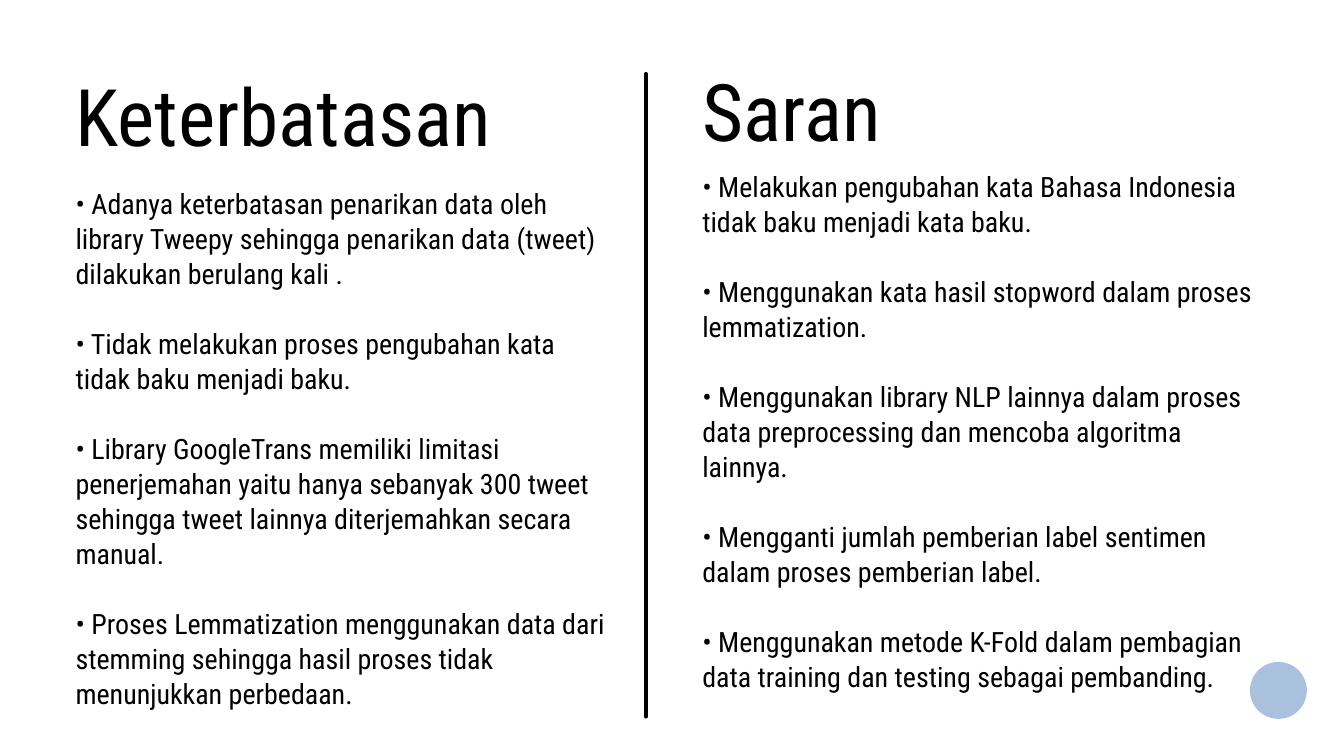
from dataclasses import dataclass

from lxml.etree import SubElement
from pptx import Presentation
from pptx.dml.color import RGBColor as Rgb
from pptx.enum.shapes import MSO_CONNECTOR as Line, MSO_SHAPE as Shape
from pptx.oxml.ns import qn
from pptx.slide import Slide
from pptx.util import Pt


@dataclass(frozen=True)
class Theme:
    ink: Rgb = Rgb(0, 0, 0)
    paper: Rgb = Rgb(255, 255, 255)
    accent: Rgb = Rgb(0xAA, 0xC1, 0xDD)
    font: str = "Roboto Condensed"
    heading_size: float = 85
    heading_leading: float = 93.5
    point_size: float = 30
    point_leading: float = 37.5


@dataclass(frozen=True)
class Column:
    heading: str
    points: list[str]
    left: float
    heading_top: float
    heading_width: float
    points_top: float
    points_width: float


THEME = Theme()
POINT_LINES = 15

COLUMNS = [
    Column(
        "Keterbatasan",
        [
            "Adanya keterbatasan penarikan data oleh library Tweepy sehingga "
            "penarikan data (tweet) dilakukan berulang kali .",
            "Tidak melakukan proses pengubahan kata tidak baku menjadi baku.",
            "Library GoogleTrans memiliki limitasi penerjemahan yaitu hanya sebanyak "
            "300 tweet sehingga tweet lainnya diterjemahkan secara manual.",
            "Proses Lemmatization menggunakan data dari stemming sehingga hasil "
            "proses tidak menunjukkan perbedaan.",
        ],
        left=81, heading_top=81, heading_width=577.5,
        points_top=198.75, points_width=568,
    ),
    Column(
        "Saran",
        [
            "Melakukan pengubahan kata Bahasa Indonesia tidak baku menjadi kata baku.",
            "Menggunakan kata hasil stopword dalam proses lemmatization.",
            "Menggunakan library NLP lainnya dalam proses data preprocessing dan "
            "mencoba algoritma lainnya.",
            "Mengganti jumlah pemberian label sentimen dalam proses pemberian label.",
            "Menggunakan metode K-Fold dalam pembagian data training dan testing "
            "sebagai pembanding.",
        ],
        left=752.5, heading_top=75, heading_width=272,
        points_top=180, points_width=606,
    ),
]


def add_text(slide: Slide, paragraphs: list[str], left: float, top: float,
             width: float, height: float, size: float, leading: float) -> None:
    frame = slide.shapes.add_textbox(Pt(left), Pt(top), Pt(width), Pt(height)).text_frame
    frame_format = {"word_wrap": True, "margin_left": 0, "margin_top": 0,
                    "margin_right": 0, "margin_bottom": 0}
    for name, value in frame_format.items():
        setattr(frame, name, value)
    for index, wording in enumerate(paragraphs):
        paragraph = frame.add_paragraph() if index else frame.paragraphs[0]
        paragraph.line_spacing = Pt(leading)
        paragraph.space_before = Pt(leading if index else 0)
        run = paragraph.add_run()
        run.text = wording
        for name, value in {"name": THEME.font, "size": Pt(size)}.items():
            setattr(run.font, name, value)
        run.font.color.rgb = THEME.ink


def add_column(slide: Slide, column: Column) -> None:
    add_text(slide, [column.heading], column.left, column.heading_top,
             column.heading_width, THEME.heading_leading,
             THEME.heading_size, THEME.heading_leading)
    add_text(slide, [f"• {point}" for point in column.points], column.left,
             column.points_top, column.points_width,
             POINT_LINES * THEME.point_leading,
             THEME.point_size, THEME.point_leading)


def add_divider(slide: Slide, x: float, top: float, bottom: float) -> None:
    divider = slide.shapes.add_connector(Line.STRAIGHT, Pt(x), Pt(top), Pt(x), Pt(bottom))
    divider.line.color.rgb = THEME.ink
    divider.line.width = Pt(3.75)
    divider.get_or_add_ln().set("cap", "rnd")
    SubElement(divider._element.spPr, qn("a:effectLst"))


def add_dot(slide: Slide, left: float, top: float, diameter: float) -> None:
    dot = slide.shapes.add_shape(Shape.OVAL, Pt(left), Pt(top), Pt(diameter), Pt(diameter))
    dot.shadow.inherit = False
    dot.fill.solid()
    dot.fill.fore_color.rgb = THEME.accent
    dot.line.fill.background()


def main() -> None:
    deck = Presentation()
    deck.slide_width, deck.slide_height = Pt(1440), Pt(810)
    slide = deck.slides.add_slide(deck.slide_layouts[6])
    slide.background.fill.solid()
    slide.background.fill.fore_color.rgb = THEME.paper
    add_dot(slide, 1339.25, 709.25, 61)
    for column in COLUMNS:
        add_column(slide, column)
    add_divider(slide, 692, 79, 768)
    deck.save("out.pptx")


if __name__ == "__main__":
    main()
